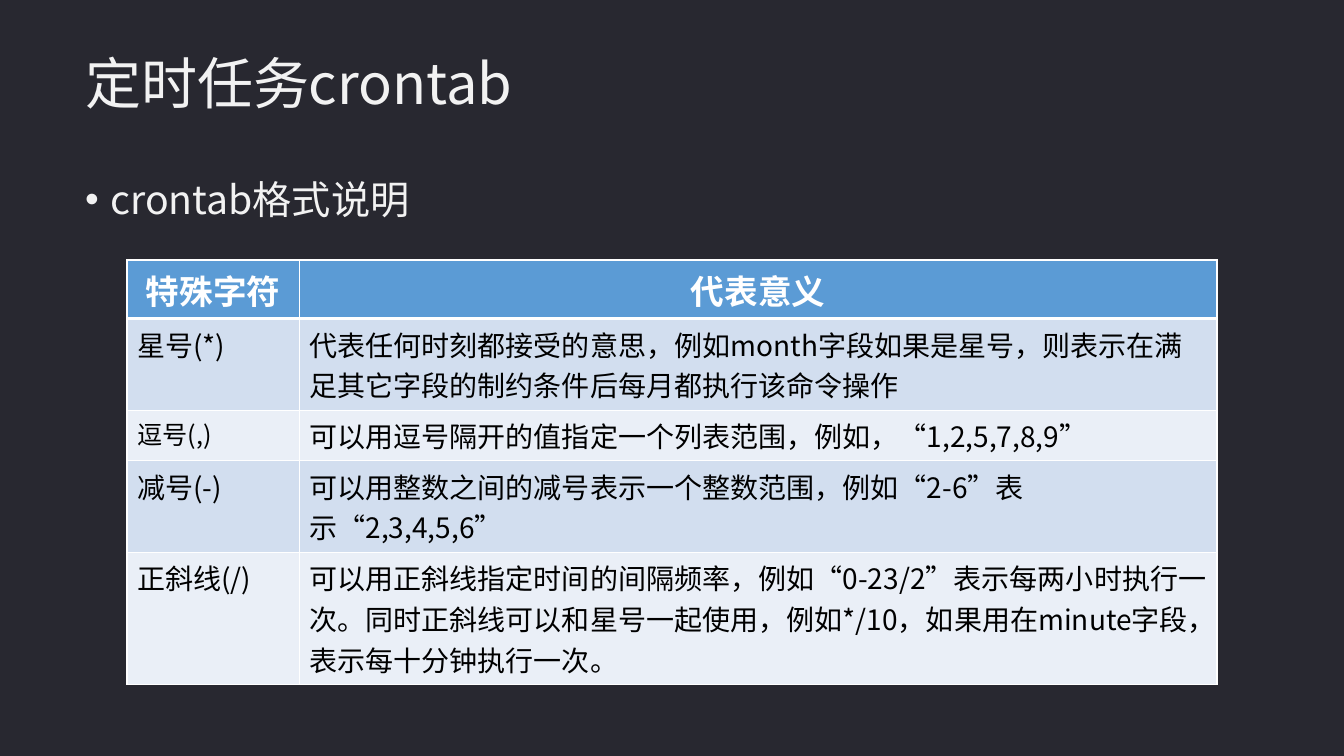
from lxml.etree import SubElement
from pptx import Presentation
from pptx.dml.color import RGBColor
from pptx.enum.lang import MSO_LANGUAGE_ID
from pptx.enum.text import MSO_ANCHOR, PP_ALIGN
from pptx.oxml import parse_xml
from pptx.oxml.ns import nsdecls, qn
from pptx.util import Inches, Pt

FACE = "Noto Sans CJK SC"
WIDE, HIGH = Inches(13.33), Inches(7.5)
PALE = "F2F2F2"
HEAD = "5B9BD5"
BANDS = ("D2DEEF", "EAEFF7")
COLS = (1.71, 9.1)
ROWS = (0.58, 0.91, 0.5, 0.91, 1.31)
CELLS = (
    ("特殊字符", "代表意义"),
    ("星号(*)", "代表任何时刻都接受的意思，例如month字段如果是星号，则表示在满足其它字段的制约条件后每月都执行该命令操作"),
    ("逗号(,)", "可以用逗号隔开的值指定一个列表范围，例如，“1,2,5,7,8,9”"),
    ("减号(-)", "可以用整数之间的减号表示一个整数范围，例如“2-6”表示“2,3,4,5,6”"),
    ("正斜线(/)", "可以用正斜线指定时间的间隔频率，例如“0-23/2”表示每两小时执行一次。"
     "同时正斜线可以和星号一起使用，例如*/10，如果用在minute字段，表示每十分钟执行一次。"),
)


def tint(code):
    """Turn a hex string into a colour."""
    return RGBColor.from_string(code)


def apply(item, style):
    """Set each attribute named in a dict."""
    for name, value in style.items():
        setattr(item, name, value)


def write(frame, text, size, color, bold=False, **style):
    """Write one styled paragraph and return it."""
    para = frame.paragraphs[0]
    apply(para, style)
    run = para.add_run()
    run.text = text
    apply(run.font, {"name": FACE, "size": Pt(size), "bold": bold,
                     "language_id": MSO_LANGUAGE_ID.SIMPLIFIED_CHINESE})
    run.font.color.rgb = tint(color)
    for tag in ("a:ea", "a:cs"):
        SubElement(run.font._element, qn(tag)).set("typeface", FACE)
    return para


def label(slide, area, text, size, **style):
    """Add a text box placed by shares of the slide."""
    left, top, width, height = area
    box = slide.shapes.add_textbox(
        int(WIDE * left), int(HIGH * top), int(WIDE * width), int(HIGH * height))
    apply(box.text_frame, {"word_wrap": True, "vertical_anchor": MSO_ANCHOR.TOP})
    return write(box.text_frame, text, size, PALE, **style)


def bullet(para):
    """Give a paragraph a hanging dot."""
    props = para._p.get_or_add_pPr()
    props.set("marL", str(Inches(0.25)))
    props.set("indent", str(-Inches(0.25)))
    SubElement(props, qn("a:buFont")).set("typeface", "Arial")
    SubElement(props, qn("a:buChar")).set("char", "•")


def border(cell, top, base):
    """Draw white lines round a cell, with its own top and base widths."""
    props = cell._tc.get_or_add_tcPr()
    sizes = {"L": 1, "R": 1, "T": top, "B": base}
    for spot, (side, size) in enumerate(sizes.items()):
        props.insert(spot, parse_xml(
            f'<a:ln{side} {nsdecls("a")} w="{Pt(size)}"><a:solidFill>'
            f'<a:srgbClr val="FFFFFF"/></a:solidFill></a:ln{side}>'))


def paint(cell, fill, top, base):
    """Fill and outline a cell."""
    cell.fill.solid()
    cell.fill.fore_color.rgb = tint(fill)
    border(cell, top, base)


def grid(slide):
    """Add the table of special characters."""
    table = slide.shapes.add_table(
        len(ROWS), len(COLS), int(WIDE * 0.0945), int(HIGH * 0.344),
        Inches(sum(COLS)), Inches(sum(ROWS))).table
    for col, width in zip(table.columns, COLS):
        col.width = Inches(width)
    for r, (row, height) in enumerate(zip(table.rows, ROWS)):
        row.height = Inches(height)
        for c, cell in enumerate(row.cells):
            text = CELLS[r][c]
            if r == 0:
                write(cell.text_frame, text, 24, "FFFFFF", True,
                      alignment=PP_ALIGN.CENTER)
                paint(cell, HEAD, 1, 3)
            else:
                size = 18 if (r, c) == (2, 0) else 20
                write(cell.text_frame, text, size, "000000")
                paint(cell, BANDS[(r - 1) % 2], 3 if r == 1 else 1, 1)


def main():
    """Build and save the slide."""
    deck = Presentation()
    apply(deck, {"slide_width": WIDE, "slide_height": HIGH})
    slide = deck.slides.add_slide(deck.slide_layouts[6])
    slide.background.fill.solid()
    slide.background.fill.fore_color.rgb = tint("282830")
    bullet(label(slide, (0.056, 0.225, 0.934, 0.6), "crontab格式说明", 28))
    label(slide, (0.056, 0.068, 0.638, 0.139), "定时任务crontab", 40,
          line_spacing=0.9)
    grid(slide)
    deck.save("out.pptx")


if __name__ == "__main__":
    main()
